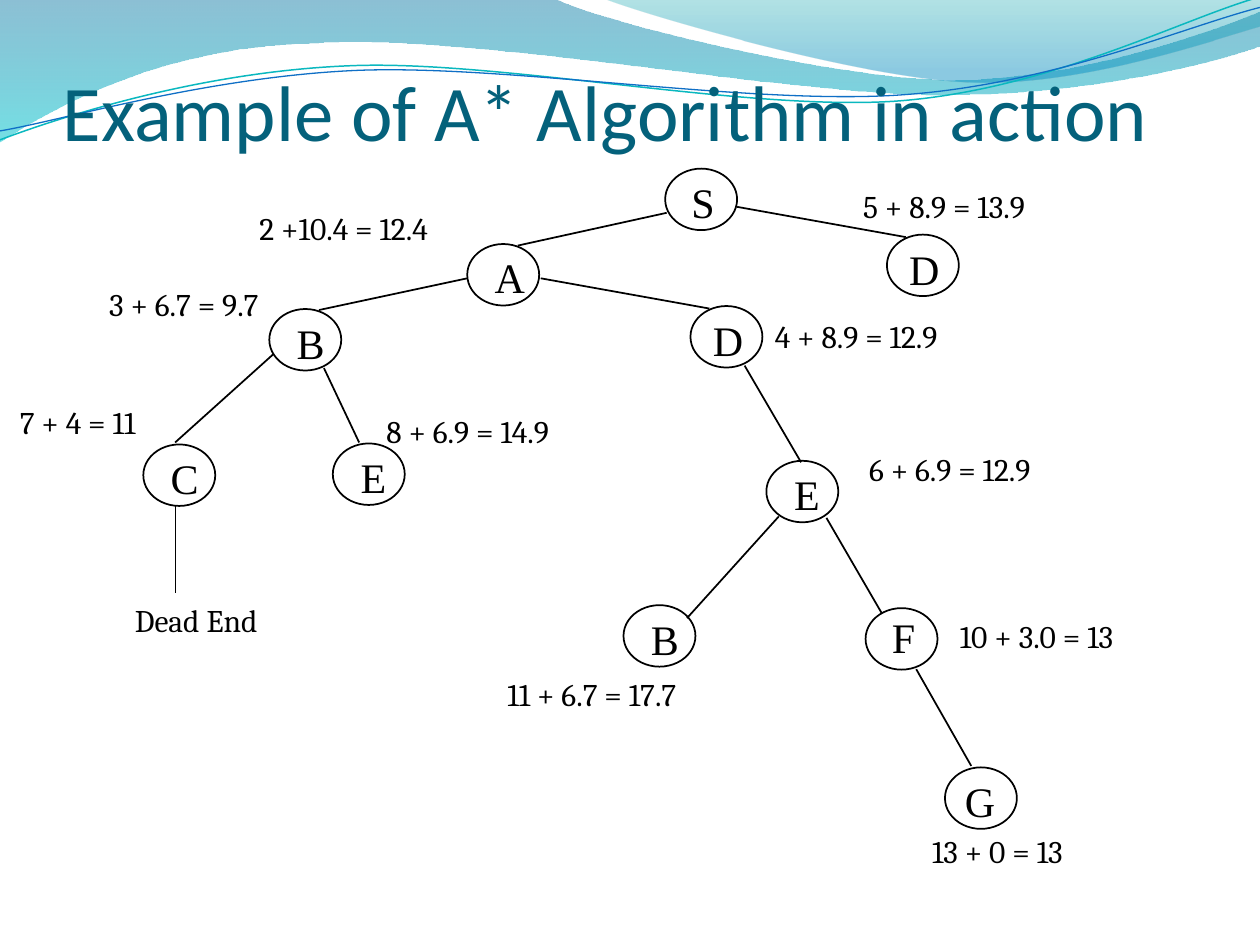
import itertools

import pptx
import pptx.dml.color
import pptx.enum.shapes
import pptx.enum.text
import pptx.oxml.ns
import pptx.util
from lxml import etree

Cm = pptx.util.Cm
Pt = pptx.util.Pt
qn = pptx.oxml.ns.qn


def colour(hex_string):
    return pptx.dml.color.RGBColor.from_string(hex_string)


class TreeSlide:
    ink = "000000"
    node_size = (1.45, 1.24)
    letter_font = ("Times New Roman", 24)
    label_font = ("Cambria", 18)
    title_font = ("Calibri", 45)
    letter_boxes = {
        "S": (0.28, 0.03, 0.97),
        "A": (0.3, 0.03, 1.12),
        "B": (0.3, 0.04, 1.07),
        "C": (0.3, 0.03, 1.07),
        "D": (0.2, 0.05, 1.12),
        "E": (0.31, 0.03, 1.02),
        "F": (0.28, -0.05, 0.97),
        "G": (0.15, 0.03, 1.12),
    }

    def __init__(self, slide):
        self.shapes = slide.shapes

    def outline(self, start, segments, close):
        points = [(Cm(x), Cm(y)) for x, y in itertools.chain(*segments)]
        builder = self.shapes.build_freeform(Cm(start[0]), Cm(start[1]))
        builder.add_line_segments(points, close=close)
        shape = builder.convert_to_shape()
        shape.shadow.inherit = False
        steps = iter(list(shape._element.iter(qn("a:lnTo"))))
        for segment in segments:
            controls = list(itertools.islice(steps, len(segment)))
            if len(controls) == 3:
                curve = etree.Element(qn("a:cubicBezTo"))
                controls[0].addprevious(curve)
                for control in controls:
                    curve.append(control[0])
                    control.getparent().remove(control)
        return shape

    def wave(self, start, segments, stops):
        shape = self.outline(start, segments, True)
        shape.line.fill.background()
        shape.fill.gradient()
        shape.fill.gradient_angle = 270
        for stop, (position, hex_string, opacity) in zip(shape.fill.gradient_stops, stops):
            stop.position = position
            stop.color.rgb = colour(hex_string)
        for tint, (position, hex_string, opacity) in zip(
            shape._element.spPr.iter(qn("a:srgbClr")), stops
        ):
            etree.SubElement(tint, qn("a:alpha")).set("val", str(opacity * 1000))

    def ripple(self, start, segments, hex_string, width):
        shape = self.outline(start, segments, False)
        shape.rotation = 357.3
        shape.fill.background()
        shape.line.color.rgb = colour(hex_string)
        shape.line.width = Pt(width)

    def text(self, words, x, y, width, height, font, hex_string=ink):
        box = self.shapes.add_textbox(Cm(x), Cm(y), Cm(width), Cm(height))
        frame = box.text_frame
        frame.word_wrap = False
        frame.auto_size = pptx.enum.text.MSO_AUTO_SIZE.SHAPE_TO_FIT_TEXT
        frame.text = words
        style = frame.paragraphs[0].font
        style.name, style.size = font[0], Pt(font[1])
        style.color.rgb = colour(hex_string)
        return frame

    def title(self, words):
        frame = self.text(words, 1.27, 0, 22.86, 3.18, self.title_font, "04617B")
        frame.word_wrap = True
        frame.auto_size = pptx.enum.text.MSO_AUTO_SIZE.NONE
        frame.vertical_anchor = pptx.enum.text.MSO_ANCHOR.BOTTOM
        frame.margin_left = frame.margin_right = frame.margin_bottom = 0

    def label(self, words, x, y, width):
        self.text(words, x, y, width, 1.02, self.label_font)

    def node(self, letter, x, y):
        width, height = self.node_size
        circle = self.shapes.add_shape(
            pptx.enum.shapes.MSO_SHAPE.OVAL, Cm(x), Cm(y), Cm(width), Cm(height)
        )
        circle.shadow.inherit = False
        circle.fill.background()
        circle.line.color.rgb = colour(self.ink)
        circle.line.width = Pt(1)
        dx, dy, letter_width = self.letter_boxes[letter]
        self.text(letter, x + dx, y + dy, letter_width, 1.27, self.letter_font)

    def edge(self, *ends):
        branch = self.shapes.add_connector(
            pptx.enum.shapes.MSO_CONNECTOR.STRAIGHT, *(Cm(end) for end in ends)
        )
        branch.line.color.rgb = colour(self.ink)
        branch.line.width = Pt(1)
        etree.SubElement(branch._element.spPr, qn("a:effectLst"))


WAVES = [
    ((0, 0), [
        [(11.18, -0.03)],
        [(12.09, 0.43), (16.87, 1.6), (19.25, 1.6)],
        [(21.67, 1.6), (24.33, 0.66), (25.4, 0.23)],
        [(25.43, 0.91)],
        [(24.97, 1.12), (22.1, 1.93), (18.95, 1.91)],
        [(15.8, 1.91), (9.7, 0.71), (6.53, 0.86)],
        [(3.28, 0.91), (1.17, 2.11), (-0.03, 2.87)],
        [(0, 0)],
    ], [(0, "0074A1", 45), (1, "00C6CF", 55)]),
    ((12.17, -0.03), [
        [(12.93, 0.28), (17.32, 1.57), (19.53, 1.65)],
        [(21.74, 1.75), (24.41, 0.81), (25.4, 0.53)],
        [(25.4, 0)],
        [(12.17, -0.03)],
    ], [(0, "00A1A9", 30), (0.8, "008BBF", 45)]),
]
RIPPLES = [
    ((-0.05, 2.22), [
        [(1.19, 1.82), (4.02, 1.04), (7.05, 1.06)],
        [(10.05, 1.07), (15.02, 2.37), (18.08, 2.29)],
        [(21.13, 2.2), (23.87, 0.91), (25.41, 0.55)],
    ], "0AB8BF", 0.85),
    ((-0.04, 2.04), [
        [(1.16, 1.9), (4.18, 1.15), (7.2, 1.16)],
        [(10.25, 1.18), (15.13, 2.25), (18.18, 2.17)],
        [(21.21, 2.1), (23.93, 1.06), (25.45, 0.75)],
    ], "0F6FC6", 0.75),
]
NODES = [
    ("S", 13.41, 3.4), ("A", 9.42, 4.92), ("D", 17.88, 4.73), ("B", 5.43, 6.23),
    ("D", 13.92, 6.17), ("C", 2.89, 8.96), ("E", 6.71, 8.94), ("E", 15.45, 9.29),
    ("B", 12.57, 12.2), ("F", 17.45, 12.26), ("G", 19.05, 15.47),
]
EDGES = [
    (13.44, 4.29, 10.44, 4.95), (14.86, 4.17, 18.26, 4.78),
    (9.42, 5.61, 6.43, 6.25), (10.9, 5.61, 14.3, 6.22),
    (5.51, 7.14, 3.53, 8.92), (6.53, 7.42, 7.24, 8.92),
    (3.54, 10.19, 3.54, 11.96), (15.01, 7.37, 16.15, 9.32),
    (16.66, 10.44, 17.78, 12.37), (13.85, 12.46, 15.7, 10.41),
    (18.47, 13.49, 19.58, 15.44),
]
LABELS = [
    ("2 +10.4 = 12.4", 4.98, 4.08, 4.06),
    ("5 + 8.9 = 13.9", 17.15, 3.64, 4.42),
    ("3 + 6.7 = 9.7", 1.95, 5.62, 4.06),
    ("7 + 4 = 11", 0.15, 8, 3.35),
    ("8 + 6.9 = 14.9", 7.54, 8.18, 4.42),
    ("4 + 8.9 = 12.9", 15.37, 6.27, 4.42),
    ("6 + 6.9 = 12.9", 17.27, 8.94, 4.42),
    ("11 + 6.7 = 17.7", 9.98, 13.49, 4.78),
    ("10 + 3.0 = 13", 19.1, 12.32, 4.24),
    ("13 + 0 = 13", 18.54, 16.65, 3.71),
    ("Dead End", 2.47, 11.99, 3.33),
]


def main():
    deck = pptx.Presentation()
    deck.slide_width, deck.slide_height = Cm(25.4), Cm(19.05)
    tree = TreeSlide(deck.slides.add_slide(deck.slide_layouts[6]))
    for wave in WAVES:
        tree.wave(*wave)
    for ripple in RIPPLES:
        tree.ripple(*ripple)
    tree.title("Example of A* Algorithm in action")
    for edge in EDGES:
        tree.edge(*edge)
    for node in NODES:
        tree.node(*node)
    for label in LABELS:
        tree.label(*label)
    deck.save("out.pptx")


if __name__ == "__main__":
    main()
